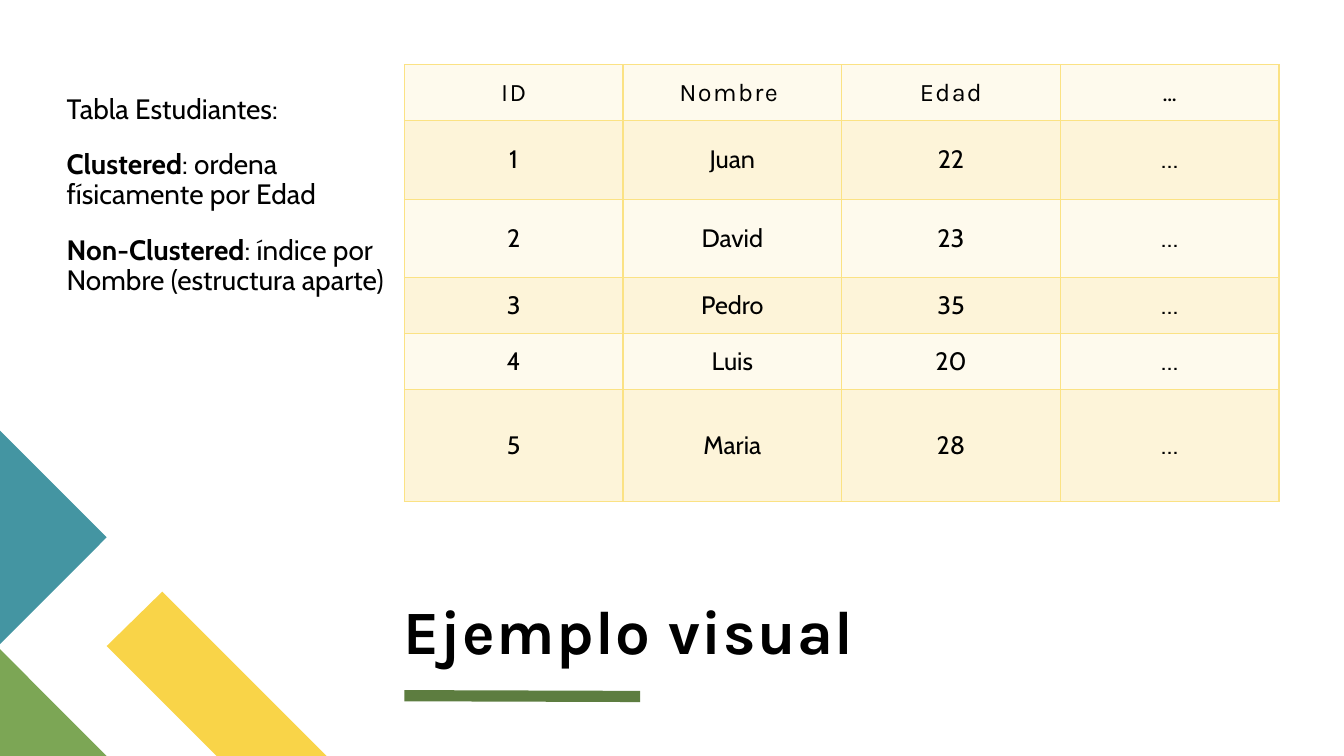
"""Build the slide "Ejemplo visual" about clustered and non-clustered indexes."""
from dataclasses import dataclass

from lxml import etree
from pptx import Presentation, util as u
from pptx.dml.color import RGBColor
from pptx.enum import shapes, text
from pptx.oxml.ns import qn


@dataclass(frozen=True)
class Theme:
    """Colours, fonts and type sizes of the slide."""
    ink: str = "000000"
    yellow: str = "F9D448"
    green: str = "7CA655"
    teal: str = "4495A2"
    rule: str = "5D7D40"
    border: str = "FBE284"
    bands: tuple = ("FEFAED", "FDF4D9")
    heading_font: str = "Karla"
    body_font: str = "Cabin"
    title_size: int = 44
    body_size: int = 20
    table_size: int = 18


THEME = Theme()

ROWS = [
    ("ID", "Nombre ", "Edad", "…"),
    ("1", "Juan", "22", "…"),
    ("2", "David", "23", "…"),
    ("3", "Pedro", "35", "…"),
    ("4", "Luis", "20", "…"),
    ("5", "Maria", "28", "…"),
]
ROW_HEIGHTS = [1.41, 1.98, 1.98, 1.41, 1.41, 2.82]
COLUMN_WIDTH = 5.51

NOTES = [
    [("Tabla Estudiantes:", False)],
    [("Clustered", True), (": ordena físicamente por Edad", False)],
    [("Non-Clustered", True), (": índice por Nombre (estructura aparte)", False)],
]

DECORATIONS = [
    (THEME.yellow, [(8.23, 19.05), (5.46, 19.05), (2.69, 16.28), (4.09, 14.91)]),
    (THEME.green, [(2.69, 19.05), (0, 19.05), (0, 16.36)]),
    (THEME.teal, [(0, 10.85), (2.69, 13.54), (0, 16.23)]),
]


def add_span(para, words, *, font, size, bold=False, spacing=0):
    """Append formatted words to a paragraph."""
    span = para.add_run()
    span.text = words
    span.font.name = font
    span.font.size = u.Pt(size)
    span.font.bold = bold
    span.font.color.rgb = RGBColor.from_string(THEME.ink)
    if spacing:
        span.font._element.set("spc", str(spacing * 100))


def add_box(page, left, top, width, height, *, anchor, margins):
    """Add a wrapping text box and return its text frame."""
    box = page.shapes.add_textbox(*map(u.Cm, (left, top, width, height)))
    frame = box.text_frame
    frame.word_wrap = True
    frame.vertical_anchor = anchor
    (frame.margin_left, frame.margin_top,
     frame.margin_right, frame.margin_bottom) = map(u.Cm, margins)
    return frame


def add_polygon(page, color, points):
    """Draw a filled closed outline through points given in centimetres."""
    start, *others = [(u.Cm(x), u.Cm(y)) for x, y in points]
    builder = page.shapes.build_freeform(*start)
    builder.add_line_segments(others, close=True)
    shape = builder.convert_to_shape()
    shape.shadow.inherit = False
    shape.fill.solid()
    shape.fill.fore_color.rgb = RGBColor.from_string(color)
    shape.line.fill.background()


def add_rule(page, *ends):
    """Draw the thick rule under the title."""
    rule = page.shapes.add_connector(
        shapes.MSO_CONNECTOR.STRAIGHT, *map(u.Cm, ends))
    rule.line.color.rgb = RGBColor.from_string(THEME.rule)
    rule.line.width = u.Pt(8)
    etree.SubElement(rule._element.spPr, qn("a:effectLst"))


def add_title(page, words):
    """Add the slide title."""
    frame = add_box(page, 10.16, 12.95, 22.05, 3.84,
                    anchor=text.MSO_ANCHOR.BOTTOM, margins=(0, 0, 0, 0))
    para = frame.paragraphs[0]
    para.line_spacing = 0.8
    add_span(para, words, font=THEME.heading_font, size=THEME.title_size,
             bold=True, spacing=1)


def add_notes(page, notes):
    """Add the explanatory paragraphs beside the table."""
    frame = add_box(page, 1.68, 1.63, 8.31, 11.1,
                    anchor=text.MSO_ANCHOR.TOP, margins=(0, 0.76, 0.25, 0.13))
    for index, spans in enumerate(notes):
        para = frame.add_paragraph() if index else frame.paragraphs[0]
        para.line_spacing = 0.9
        para.space_before = u.Pt(18)
        for words, bold in spans:
            add_span(para, words, font=THEME.body_font,
                     size=THEME.body_size, bold=bold)


def set_borders(cell):
    """Give a cell thin borders on all four sides."""
    properties = cell._tc.get_or_add_tcPr()
    for index, side in enumerate(("lnL", "lnR", "lnT", "lnB")):
        line = etree.Element(qn(f"a:{side}"), w=str(u.Pt(1)))
        fill = etree.SubElement(line, qn("a:solidFill"))
        etree.SubElement(fill, qn("a:srgbClr"), val=THEME.border)
        properties.insert(index, line)


def add_students(page, rows):
    """Add the banded table of students."""
    count = len(rows[0])
    table = page.shapes.add_table(
        len(rows), count, u.Cm(10.19), u.Cm(1.63),
        u.Cm(COLUMN_WIDTH * count), u.Cm(sum(ROW_HEIGHTS))).table
    table.first_row = table.horz_banding = False
    for column in table.columns:
        column.width = u.Cm(COLUMN_WIDTH)
    for r, values in enumerate(rows):
        table.rows[r].height = u.Cm(ROW_HEIGHTS[r])
        for c, value in enumerate(values):
            cell = table.cell(r, c)
            cell.fill.solid()
            cell.fill.fore_color.rgb = RGBColor.from_string(THEME.bands[r % 2])
            set_borders(cell)
            cell.vertical_anchor = text.MSO_ANCHOR.MIDDLE
            para = cell.text_frame.paragraphs[0]
            para.alignment = text.PP_ALIGN.CENTER
            add_span(para, value, size=THEME.table_size,
                     font=THEME.body_font if r else THEME.heading_font,
                     spacing=0 if r else 1)


def main():
    """Build and save the deck."""
    deck = Presentation()
    deck.slide_width, deck.slide_height = u.Cm(33.87), u.Cm(19.05)
    page = deck.slides.add_slide(deck.slide_layouts[6])
    for color, points in DECORATIONS:
        add_polygon(page, color, points)
    add_rule(page, 10.19, 17.53, 16.13, 17.55)
    add_title(page, "Ejemplo visual")
    add_notes(page, NOTES)
    add_students(page, ROWS)
    deck.save("out.pptx")


if __name__ == "__main__":
    main()
